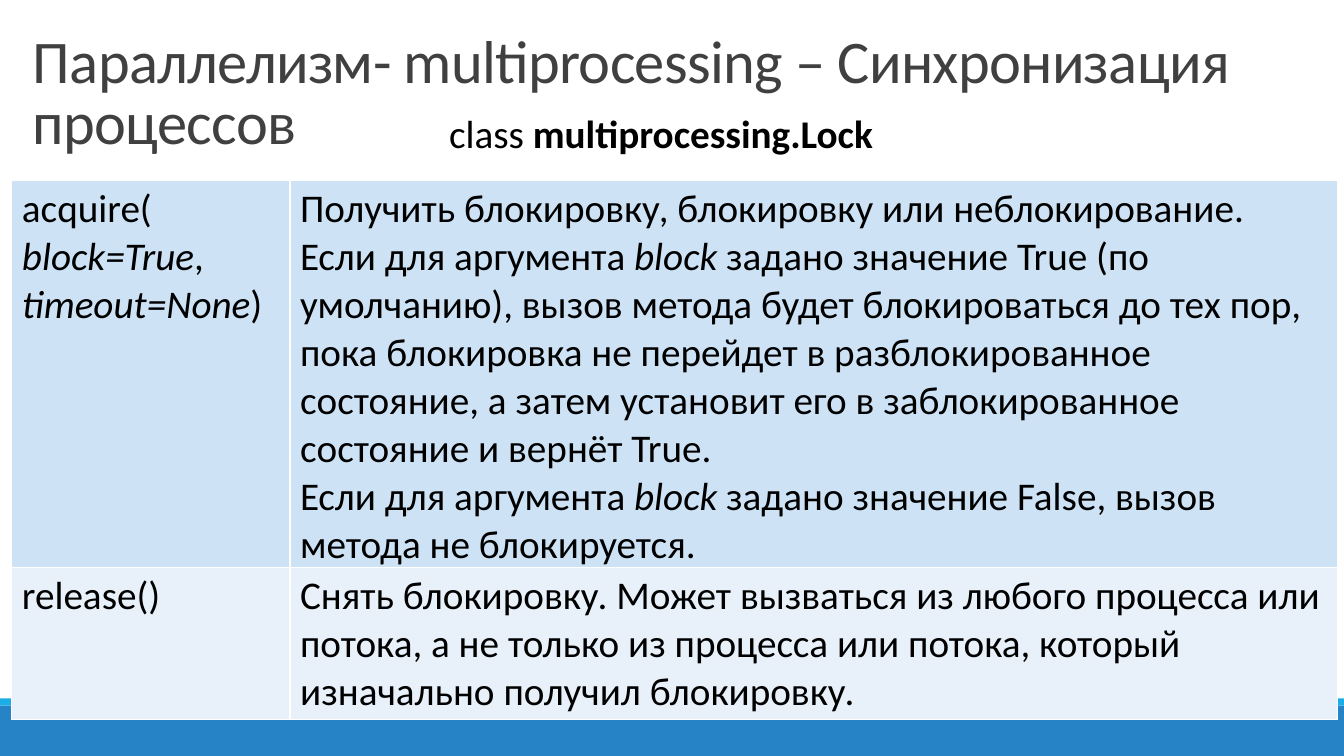
from dataclasses import dataclass

from lxml.etree import SubElement
from pptx import Presentation
from pptx.dml.color import RGBColor
from pptx.enum.shapes import MSO_SHAPE
from pptx.enum.text import MSO_ANCHOR, MSO_AUTO_SIZE
from pptx.oxml.ns import qn
from pptx.slide import Slide
from pptx.table import _Cell as Cell
from pptx.text.text import TextFrame
from pptx.util import Cm, Pt

FONT = "Calibri"
BLACK = RGBColor(0x00, 0x00, 0x00)
TITLE_GRAY = RGBColor(0x40, 0x40, 0x40)
FOOTER_BLUE = RGBColor(0x26, 0x83, 0xC6)
STRIPE_CYAN = RGBColor(0x1C, 0xAD, 0xE4)
ROW_BLUE = RGBColor(0xCD, 0xE3, 0xF5)
ROW_PALE = RGBColor(0xE8, 0xF1, 0xFA)
BORDER_WHITE = RGBColor(0xFF, 0xFF, 0xFF)
BODY_SIZE = 28


@dataclass(frozen=True)
class Span:
    text: str
    italic: bool = False
    bold: bool = False


@dataclass(frozen=True)
class Band:
    top: float
    height: float
    color: RGBColor


@dataclass(frozen=True)
class Method:
    signature: list[list[Span]]
    description: list[list[Span]]
    height: float
    fill: RGBColor


BANDS = [Band(17.78, 1.27, FOOTER_BLUE), Band(17.6, 0.18, STRIPE_CYAN)]
COLUMN_WIDTHS = [7.01, 26.39]

METHODS = [
    Method(
        [
            [Span("acquire(")],
            [Span("block=True", italic=True), Span(",")],
            [Span("timeout=None", italic=True), Span(")")],
        ],
        [
            [Span("Получить блокировку, блокировку или неблокирование.")],
            [
                Span("Если для аргумента "),
                Span("block", italic=True),
                Span(
                    " задано значение True (по умолчанию), вызов метода будет "
                    "блокироваться до тех пор, пока блокировка не перейдет в "
                    "разблокированное состояние, а затем установит его в "
                    "заблокированное состояние и вернёт True."
                ),
            ],
            [
                Span("Если для аргумента "),
                Span("block", italic=True),
                Span(" задано значение False, вызов метода не блокируется."),
            ],
        ],
        9.7,
        ROW_BLUE,
    ),
    Method(
        [[Span("release()")]],
        [
            [
                Span(
                    "Снять блокировку. Может вызваться из любого процесса или "
                    "потока, а не только из процесса или потока, который "
                    "изначально получил блокировку."
                )
            ]
        ],
        3.84,
        ROW_PALE,
    ),
]


def write_spans(frame: TextFrame, lines: list[list[Span]],
                size: float = BODY_SIZE, color: RGBColor = BLACK) -> None:
    frame.word_wrap = True
    for index, spans in enumerate(lines):
        paragraph = frame.add_paragraph() if index else frame.paragraphs[0]
        for span in spans:
            run = paragraph.add_run()
            run.text = span.text
            run.font.name = FONT
            run.font.size = Pt(size)
            run.font.color.rgb = color
            run.font.italic = span.italic
            run.font.bold = span.bold


def draw_band(slide: Slide, band: Band, width: int) -> None:
    bar = slide.shapes.add_shape(
        MSO_SHAPE.RECTANGLE, 0, Cm(band.top), width, Cm(band.height))
    bar.shadow.inherit = False
    bar.fill.solid()
    bar.fill.fore_color.rgb = band.color
    bar.line.fill.background()


def draw_title(slide: Slide) -> None:
    frame = slide.shapes.add_textbox(
        Cm(0.58), Cm(0.48), Cm(32.79), Cm(3.61)).text_frame
    frame.vertical_anchor = MSO_ANCHOR.BOTTOM
    heading = "Параллелизм- multiprocessing – Синхронизация процессов"
    write_spans(frame, [[Span(heading)]], 43.2, TITLE_GRAY)
    paragraph = frame.paragraphs[0]
    paragraph.line_spacing = 0.85
    paragraph.runs[0].font._element.set("spc", "-50")


def draw_class_name(slide: Slide) -> None:
    frame = slide.shapes.add_textbox(
        Cm(11.07), Cm(2.62), Cm(11.84), Cm(1.45)).text_frame
    frame.auto_size = MSO_AUTO_SIZE.SHAPE_TO_FIT_TEXT
    write_spans(frame, [[Span("class "), Span("multiprocessing.Lock", bold=True)]])


def style_cell(cell: Cell, fill: RGBColor) -> None:
    properties = cell._tc.get_or_add_tcPr()
    for side in ("a:lnL", "a:lnR", "a:lnT", "a:lnB"):
        border = SubElement(properties, qn(side), w=str(Pt(1)))
        paint = SubElement(border, qn("a:solidFill"))
        SubElement(paint, qn("a:srgbClr"), val=str(BORDER_WHITE))
    cell.fill.solid()
    cell.fill.fore_color.rgb = fill


def draw_methods(slide: Slide) -> None:
    table = slide.shapes.add_table(
        len(METHODS), len(COLUMN_WIDTHS), Cm(0.3), Cm(4.55),
        Cm(sum(COLUMN_WIDTHS)), Cm(sum(method.height for method in METHODS))).table
    table.first_row = False
    table.horz_banding = False
    for column, width in zip(table.columns, COLUMN_WIDTHS):
        column.width = Cm(width)
    for row, method in zip(table.rows, METHODS):
        row.height = Cm(method.height)
        for cell, lines in zip(row.cells, (method.signature, method.description)):
            style_cell(cell, method.fill)
            write_spans(cell.text_frame, lines)


def main() -> None:
    deck = Presentation()
    deck.slide_width, deck.slide_height = Cm(33.87), Cm(19.05)
    slide = deck.slides.add_slide(deck.slide_layouts[6])
    for band in BANDS:
        draw_band(slide, band, deck.slide_width)
    draw_title(slide)
    draw_class_name(slide)
    draw_methods(slide)
    deck.save("out.pptx")


if __name__ == "__main__":
    main()
